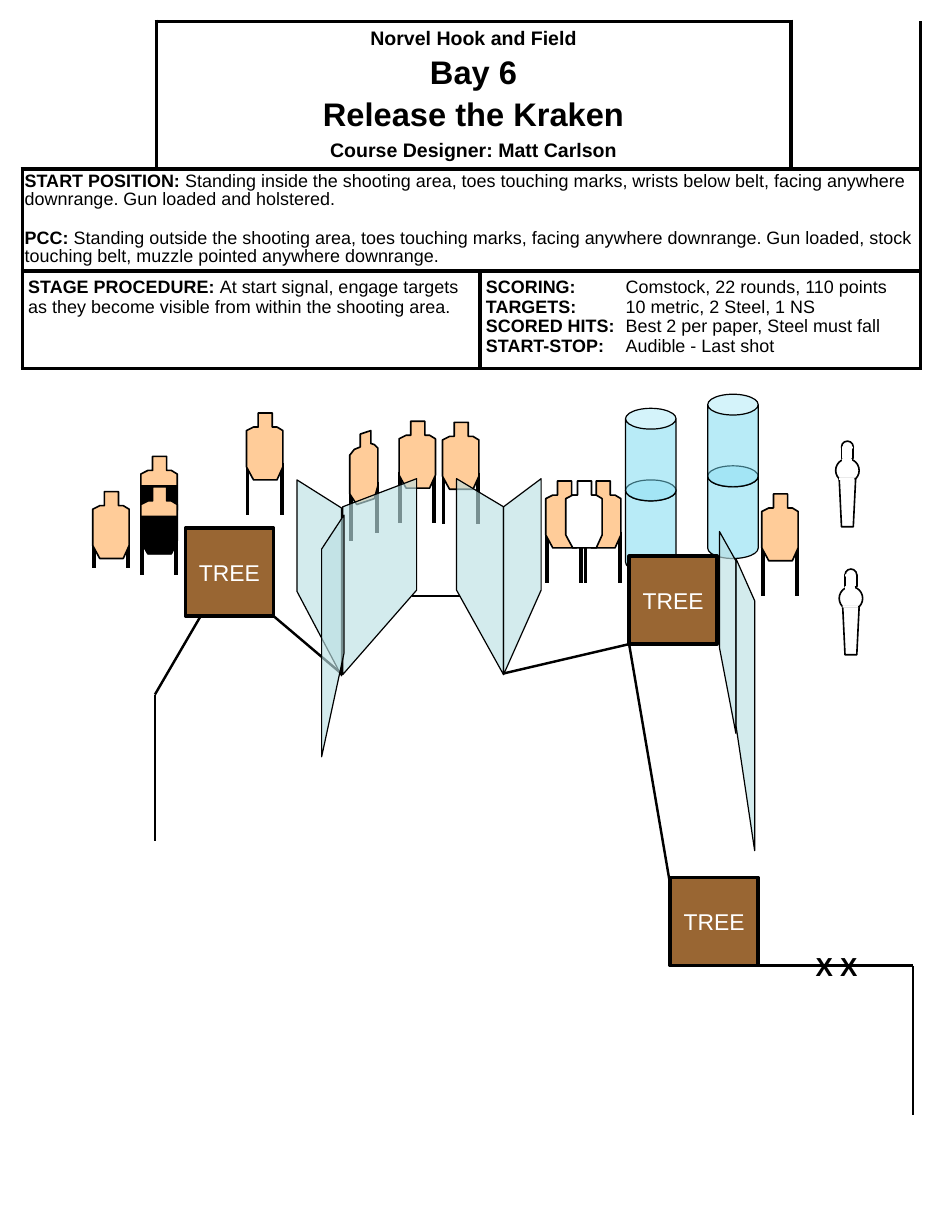
"""Build the stage briefing sheet with its course diagram."""
from dataclasses import dataclass
from typing import NamedTuple, Optional

from lxml.etree import SubElement
from pptx import Presentation
from pptx.dml.color import RGBColor as Color
from pptx.enum.shapes import MSO_CONNECTOR as Connector, MSO_SHAPE as Preset
from pptx.enum.text import MSO_ANCHOR as Anchor, PP_ALIGN as Align
from pptx.oxml.ns import qn
from pptx.oxml.xmlchemy import OxmlElement
from pptx.util import Inches, Pt


@dataclass(frozen=True)
class Theme:
    font: str = "Arial"
    black: str = "000000"
    white: str = "FFFFFF"
    cardboard: str = "FFCC99"
    bark: str = "996633"
    glass: str = "BBE0E3"
    barrel: str = "73D9F1"
    title: int = 20
    mark: int = 16
    label: int = 14
    heading: int = 12
    text: int = 11
    thick: float = 2.25
    fault: float = 1.5
    outline: float = 1
    thin: float = 0.75


class Point(NamedTuple):
    x: float
    y: float


class Panel(NamedTuple):
    x: float
    top: float
    bottom: float
    far_x: float
    far_top: float
    far_bottom: float


@dataclass(frozen=True)
class Target:
    x: float
    y: float
    leg: float = 0.43


class Span(NamedTuple):
    text: str
    size: float
    bold: bool = False


@dataclass(frozen=True)
class Line:
    spans: tuple
    before: float = 0
    spacing: float = 1
    align: Align = Align.LEFT
    tab: Optional[float] = None


THEME = Theme()
COLUMNS, ROWS = 8, 10.5
TORSO = [(0.1, 0), (0.22, 0), (0.22, 0.12), (0.26, 0.12), (0.31, 0.15), (0.31, 0.46),
         (0.26, 0.57), (0.06, 0.57), (0, 0.46), (0, 0.15), (0.06, 0.12), (0.1, 0.12)]
TURNED = [(0.09, 0.03), (0.18, 0), (0.18, 0.11), (0.21, 0.12), (0.24, 0.15), (0.24, 0.47),
          (0.21, 0.58), (0.06, 0.63), (0, 0.54), (0, 0.21), (0.04, 0.16), (0.09, 0.14)]
PAINT = [(0, 0), (0.31, 0), (0.31, 0.22), (0.26, 0.32), (0.06, 0.32), (0, 0.22)]
STEM = [(0, 0), (0.14, 0), (0.12, 0.41), (0.02, 0.41)]

deck = Presentation()
deck.slide_width, deck.slide_height = Inches(COLUMNS), Inches(ROWS)
page = deck.slides.add_slide(deck.slide_layouts[6])


def grid(cells: float) -> int:
    """Turn grid cells, one eighth of the slide's width each, into a length."""
    return round(deck.slide_width * cells / COLUMNS)


def paint(shape, fill: str, line: Optional[str], width: float = 1, opacity: int = 100) -> None:
    """Give a shape its fill, outline and opacity."""
    shape.shadow.inherit = False
    shape.fill.solid()
    shape.fill.fore_color.rgb = Color.from_string(fill)
    if opacity < 100:
        color = shape.fill._xPr.find(qn("a:solidFill"))[0]
        SubElement(color, qn("a:alpha")).set("val", str(opacity * 1000))
    if line is None:
        shape.line.fill.background()
    else:
        shape.line.color.rgb = Color.from_string(line)
        shape.line.width = Pt(width)


def draw_preset(kind: Preset, x: float, y: float, wide: float, high: float):
    """Add a preset shape placed on the grid."""
    return page.shapes.add_shape(kind, *map(grid, (x, y, wide, high)))


def draw_outline(points: list, origin: tuple = (0, 0)):
    """Add a closed polygon whose points are offsets from the origin."""
    corners = [(grid(origin[0] + x), grid(origin[1] + y)) for x, y in points]
    builder = page.shapes.build_freeform(*corners[0])
    builder.add_line_segments(corners[1:], close=True)
    return builder.convert_to_shape()


def draw_line(start: tuple, end: tuple, width: float) -> None:
    """Add a plain black line."""
    line = page.shapes.add_connector(Connector.STRAIGHT, *map(grid, (*start, *end)))
    line.line.color.rgb = Color.from_string(THEME.black)
    line.line.width = Pt(width)
    SubElement(line._element.spPr, qn("a:effectLst"))


def draw_fault(*points: Point) -> None:
    """Add a run of fault lines through the points."""
    for start, end in zip(points, points[1:]):
        draw_line(start, end, THEME.fault)


def draw_torso(x: float, y: float, fill: str = THEME.cardboard) -> None:
    """Add a paper target without legs."""
    paint(draw_outline(TORSO, (x, y)), fill, THEME.black, THEME.outline)


def draw_legs(x: float, y: float, gap: float = 0.29) -> None:
    """Add the two legs of a target stand."""
    for side in (x, x + gap):
        draw_line((side, y), (side, y + 0.44), THEME.thick)


def draw_target(target: Target) -> None:
    """Add a paper target on its stand."""
    draw_legs(target.x + 0.01, target.y + target.leg)
    draw_torso(target.x, target.y)


def draw_hard_cover(x: float, y: float) -> None:
    """Add the black painted part of a target."""
    paint(draw_outline(PAINT, (x, y)), THEME.black, THEME.black, 0)


def draw_panel(panel: Panel) -> None:
    """Add a see-through wall panel."""
    corners = [(panel.x, panel.bottom), (panel.far_x, panel.far_bottom),
               (panel.far_x, panel.far_top), (panel.x, panel.top)]
    paint(draw_outline(corners), THEME.glass, THEME.black, THEME.thin, 64)


def draw_barrels(x: float, y: float) -> None:
    """Add two stacked barrels, the lower one first."""
    for top in (y + 0.61, y):
        can = draw_preset(Preset.CAN, x, top, 0.43, 0.79)
        can.adjustments[0] = 0.413
        paint(can, THEME.barrel, THEME.black, THEME.thin, 50)


def draw_steel(x: float, y: float) -> None:
    """Add a falling steel target."""
    for left, top, size in ((0.05, 0, 0.1), (0, 0.15, 0.2)):
        disc = draw_preset(Preset.OVAL, x + left, y + top, size, size)
        paint(disc, THEME.white, THEME.black, THEME.outline)
    paint(draw_outline(STEM, (x + 0.03, y + 0.32)), THEME.white, THEME.black, THEME.outline)
    for left, top, wide, high, edge in ((0.05, 0.05, 0.1, 0.1, THEME.black), (0.03, 0.31, 0.13, 0.02, None),
                                        (0.06, 0.15, 0.07, 0.02, THEME.white),
                                        (0.06, 0.05, 0.08, 0.01, THEME.white)):
        paint(draw_preset(Preset.RECTANGLE, x + left, y + top, wide, high), THEME.white, edge, THEME.outline)


def write(frame, lines: list, color: str = THEME.black) -> None:
    """Fill a text frame, paragraph by paragraph and run by run."""
    for number, line in enumerate(lines):
        para = frame.add_paragraph() if number else frame.paragraphs[0]
        para.alignment, para.line_spacing = line.align, line.spacing
        para.space_before = Pt(line.before)
        if line.tab:
            stops = SubElement(para._p.get_or_add_pPr(), qn("a:tabLst"))
            SubElement(stops, qn("a:tab"), pos=str(grid(line.tab)), algn="l")
        for text, size, bold in line.spans:
            span = para.add_run()
            span.text = text
            span.font.name, span.font.size, span.font.bold = THEME.font, Pt(size), bold
            span.font.color.rgb = Color.from_string(color)


def draw_tree(x: float, y: float) -> None:
    """Add a labelled tree block."""
    tree = draw_preset(Preset.RECTANGLE, x, y, 0.75, 0.75)
    paint(tree, THEME.bark, THEME.black, THEME.thick)
    tree.text_frame.vertical_anchor = Anchor.MIDDLE
    write(tree.text_frame, [Line((Span("TREE", THEME.label),), align=Align.CENTER)], THEME.white)


def style_cell(cell, sides: str) -> None:
    """Give a cell a white fill and rules on the named sides."""
    cell.fill.solid()
    cell.fill.fore_color.rgb = Color.from_string(THEME.white)
    for place, side in enumerate(sides):
        rule = OxmlElement(f"a:ln{side}")
        rule.set("w", str(Pt(THEME.thick)))
        SubElement(SubElement(rule, qn("a:solidFill")), qn("a:srgbClr"), val=THEME.black)
        cell._tc.get_or_add_tcPr().insert(place, rule)


def draw_briefing() -> None:
    """Add the table with the title, start position, procedure and scoring."""
    widths, heights = (1.14, 2.76, 2.65, 1.1), (1.26, 0.87, 0.83)
    frame = page.shapes.add_table(3, 4, *map(grid, (0.19, 0.18, sum(widths), sum(heights))))
    table = frame.table
    table.first_row = table.horz_banding = False
    table._tbl.tblPr.find(qn("a:tableStyleId")).text = "{2D5ABB26-0587-4C30-8999-92F81FD0307C}"
    for column, width in zip(table.columns, widths):
        column.width = grid(width)
    for row, height in zip(table.rows, heights):
        row.height = grid(height)
    for first, last in (((0, 1), (0, 2)), ((1, 0), (1, 3)), ((2, 0), (2, 1)), ((2, 2), (2, 3))):
        table.cell(*first).merge(table.cell(*last))
    for row in range(3):
        for column in range(4):
            style_cell(table.cell(row, column), {(0, 0): "RB", (0, 3): "LB"}.get((row, column), "LRTB"))
    small, big, size = THEME.heading, THEME.title, THEME.text
    titles = (("Norvel Hook and Field", small, 0), ("Bay 6", big, 3.2),
              ("Release the Kraken", big, 3.2), ("Course Designer: Matt Carlson", small, 4.2))
    scores = (("SCORING:", "Comstock, 22 rounds, 110 points"), ("TARGETS:", "10 metric, 2 Steel, 1 NS"),
              ("SCORED HITS:", "Best 2 per paper, Steel must fall"), ("START-STOP:", "Audible - Last shot"))
    starts = (("START POSITION:", " Standing inside the shooting area, toes touching marks, wrists below belt, "
               "facing anywhere downrange. Gun loaded and holstered.", 0),
              ("PCC: ", "Standing outside the shooting area, toes touching marks, facing anywhere downrange. "
               "Gun loaded, stock touching belt, muzzle pointed anywhere downrange.", 12.6))
    procedure = (Span("STAGE PROCEDURE: ", size, True),
                 Span("At start signal, engage targets as they become visible from within the shooting area.", size))
    contents = {
        (0, 1): [Line((Span(text, points, True),), gap, align=Align.CENTER) for text, points, gap in titles],
        (1, 0): [Line((Span(name, size, True), Span(text, size)), gap, 0.9) for name, text, gap in starts],
        (2, 0): [Line(procedure)],
        (2, 2): [Line((Span(name, size, True), Span("\t" + text, size)), tab=1.19) for name, text in scores]}
    for (row, column), lines in contents.items():
        cell = table.cell(row, column)
        cell.margin_left = cell.margin_right = grid(0.02 if row == 1 else 0.05)
        cell.margin_top = cell.margin_bottom = grid(0.04 if row == 1 else 0.05)
        cell.vertical_anchor = Anchor.TOP if row else Anchor.MIDDLE
        write(cell.text_frame, lines)


def draw_marks() -> None:
    """Add the two start marks."""
    box = page.shapes.add_textbox(*map(grid, (6.85, 8.05, 0.58, 0.37)))
    box.text_frame.word_wrap = False
    write(box.text_frame, [Line((Span("X X", THEME.mark, True),))])


def main() -> None:
    """Draw everything from back to front and save the deck."""
    for place in (Point(5.33, 3.48), Point(6.03, 3.36)):
        draw_barrels(*place)
    draw_line((2.99, 4.18), (2.99, 4.61), THEME.thick)
    draw_line((3.21, 4.11), (3.21, 4.54), THEME.thick)
    paint(draw_outline(TURNED, (2.98, 3.67)), THEME.cardboard, THEME.black, THEME.outline)
    for target in (Target(3.4, 3.59), Target(3.77, 3.6)):
        draw_target(target)
    draw_briefing()
    for place in (Point(5.36, 4.74), Point(1.58, 4.5), Point(5.71, 7.48)):
        draw_tree(*place)
    draw_fault(Point(1.71, 5.25), Point(1.32, 5.92), Point(1.32, 7.17))
    draw_fault(Point(5.36, 5.49), Point(5.71, 7.54))
    draw_fault(Point(6.44, 8.23), Point(7.78, 8.23), Point(7.78, 9.5))
    for panel in (Panel(3.55, 4.08, 5.03, 2.92, 4.32, 5.75), Panel(3.89, 4.08, 5.03, 4.29, 4.32, 5.75),
                  Panel(2.53, 4.09, 5.04, 2.91, 4.33, 5.76)):
        draw_panel(panel)
    for target in (Target(2.1, 3.52), Target(0.79, 4.19, 0.21)):
        draw_target(target)
    draw_fault(Point(2.92, 5.75), Point(2.33, 5.25))
    draw_fault(Point(3.92, 5.08), Point(3.51, 5.08))
    draw_fault(Point(5.36, 5.49), Point(4.29, 5.74))
    draw_panel(Panel(4.61, 4.08, 5.03, 4.29, 4.32, 5.75))
    for target in (Target(4.65, 4.1), Target(4.98, 4.1)):
        draw_target(target)
    draw_panel(Panel(6.13, 4.53, 5.52, 6.27, 4.78, 6.25))
    for place in (Point(7.12, 3.76), Point(7.15, 4.85)):
        draw_steel(*place)
    draw_legs(1.21, 4.46)
    for top in (3.89, 4.15):
        draw_torso(1.2, top)
        draw_hard_cover(1.2, top + 0.25)
    draw_marks()
    draw_panel(Panel(6.27, 4.76, 6.18, 6.43, 5.12, 7.25))
    draw_target(Target(6.49, 4.21))
    draw_torso(4.82, 4.1, THEME.white)
    draw_panel(Panel(2.93, 4.39, 5.57, 2.74, 4.68, 6.45))
    deck.save("out.pptx")


if __name__ == "__main__":
    main()
